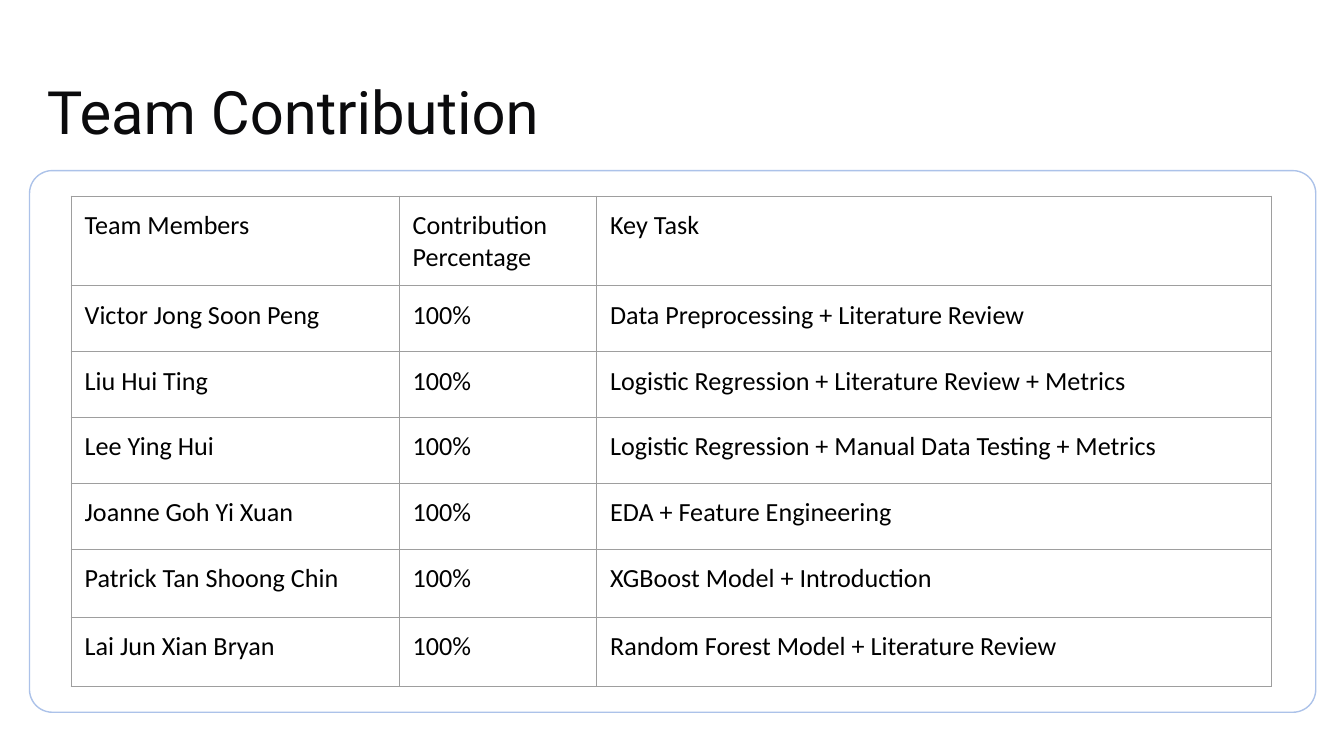
from lxml import etree
from pptx import Presentation
from pptx.dml.color import RGBColor
from pptx.enum import shapes, text
from pptx.oxml import ns
from pptx.util import Inches, Pt

COLUMN_WIDTHS = (2.44, 1.47, 5.02)
ROW_HEIGHTS = (0.51, 0.49, 0.49, 0.49, 0.49, 0.51, 0.51)
HEADERS = ("Team Members", "Contribution Percentage", "Key Task")
KEY_TASKS = {
    "Victor Jong Soon Peng": "Data Preprocessing + Literature Review",
    "Liu Hui Ting": "Logistic Regression + Literature Review + Metrics",
    "Lee Ying Hui": "Logistic Regression + Manual Data Testing + Metrics",
    "Joanne Goh Yi Xuan": "EDA + Feature Engineering",
    "Patrick Tan Shoong Chin": "XGBoost Model + Introduction",
    "Lai Jun Xian Bryan": "Random Forest Model + Literature Review",
}


def color(value):
    """Turn a hex string into a colour."""
    return RGBColor.from_string(value)


def set_margins(holder):
    """Give a text frame or cell equal margins on all sides."""
    holder.margin_left = holder.margin_right = Inches(0.1)
    holder.margin_top = holder.margin_bottom = Inches(0.1)


def add_run(para, words, font, size, ink):
    """Add one formatted run to a paragraph."""
    span = para.add_run()
    span.text = words
    span.font.name = font
    span.font.size = Pt(size)
    span.font.color.rgb = color(ink)


def add_frame(page):
    """Draw the rounded outline around the table."""
    frame = page.shapes.add_shape(
        shapes.MSO_SHAPE.ROUNDED_RECTANGLE,
        Inches(0.22), Inches(1.27), Inches(9.57), Inches(4.03))
    frame.adjustments[0] = 0.042
    frame.shadow.inherit = False
    frame.fill.background()
    frame.line.color.rgb = color("ACC2E9")
    frame.line.width = Pt(0.75)


def add_title(page, words):
    """Add the slide title."""
    box = page.shapes.add_textbox(Inches(0.25), Inches(0.46), Inches(8.43), Inches(0.65))
    frame = box.text_frame
    frame.word_wrap = True
    frame.vertical_anchor = text.MSO_ANCHOR.TOP
    set_margins(frame)
    add_run(frame.paragraphs[0], words, "Roboto", 32, "0B0B0D")


def add_borders(cell, ink, points):
    """Give a cell a solid line on all four sides."""
    properties = cell._tc.get_or_add_tcPr()
    for index, side in enumerate(("lnL", "lnR", "lnT", "lnB")):
        line = etree.Element(ns.qn(f"a:{side}"), w=str(Pt(points)))
        fill = etree.SubElement(line, ns.qn("a:solidFill"))
        etree.SubElement(fill, ns.qn("a:srgbClr"), val=ink)
        properties.insert(index, line)


def add_grid(page, rows):
    """Add the contribution table."""
    table = page.shapes.add_table(
        len(rows), len(COLUMN_WIDTHS), Inches(0.53), Inches(1.46),
        Inches(sum(COLUMN_WIDTHS)), Inches(sum(ROW_HEIGHTS))).table
    table.first_row = table.horz_banding = False
    for column, width in zip(table.columns, COLUMN_WIDTHS):
        column.width = Inches(width)
    for row, height, entries in zip(table.rows, ROW_HEIGHTS, rows):
        row.height = Inches(height)
        for cell, words in zip(row.cells, entries):
            cell.fill.background()
            set_margins(cell)
            add_borders(cell, "9E9E9E", 0.75)
            add_run(cell.text_frame.paragraphs[0], words, "Calibri", 14, "000000")


def main():
    """Build the slide and save it."""
    deck = Presentation()
    deck.slide_width = Inches(10)
    deck.slide_height = Inches(10 * 9 / 16)
    page = deck.slides.add_slide(deck.slide_layouts[6])
    add_frame(page)
    add_title(page, "Team Contribution")
    members = [(name, "100%", task) for name, task in KEY_TASKS.items()]
    add_grid(page, [HEADERS, *members])
    deck.save("out.pptx")


if __name__ == "__main__":
    main()
